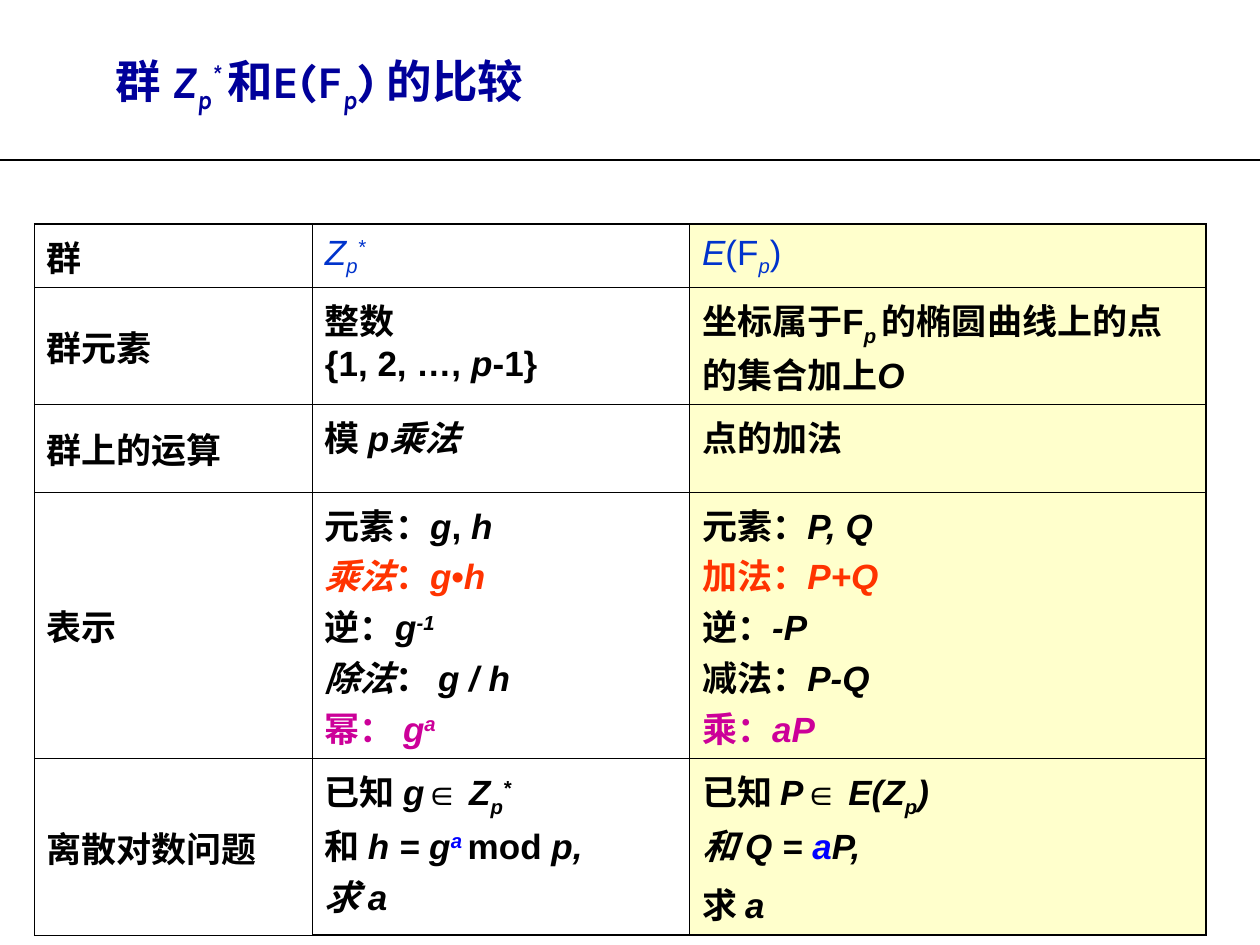
from lxml.etree import SubElement
from pptx import Presentation
from pptx.dml.color import RGBColor
from pptx.enum.text import MSO_ANCHOR, PP_ALIGN
from pptx.oxml.ns import qn
from pptx.util import Pt

COLORS = {"black": "000000", "navy": "00009A", "blue": "0033CC", "orange": "FF3300",
          "magenta": "CC0099", "bright": "0000FF", "cream": "FFFFCC"}
BASELINES = {"sub": "-25000", "sup": "30000"}


def write(paragraph, runs, font, size, color, bold):
    paragraph.font.name = font
    paragraph.font.size = Pt(size)
    paragraph.font.bold = bold
    paragraph.font.color.rgb = RGBColor.from_string(COLORS[color])
    for text, *styles in runs:
        for index, line in enumerate(text.split("\n")):
            if index:
                paragraph.add_line_break()
            if not line:
                continue
            run = paragraph.add_run()
            run.text = line
            for style in styles:
                if style == "i":
                    run.font.italic = True
                elif style in BASELINES:
                    run.font._element.set("baseline", BASELINES[style])
                else:
                    run.font.color.rgb = RGBColor.from_string(COLORS[style])


def add_border(cell, side, width):
    border = SubElement(cell._tc.get_or_add_tcPr(), qn(f"a:ln{side}"), w=str(Pt(width)))
    fill = SubElement(border, qn("a:solidFill"))
    SubElement(fill, qn("a:srgbClr"), val=COLORS["black"])


prs = Presentation()
prs.slide_width, prs.slide_height = Pt(720), Pt(540)
slide = prs.slides.add_slide(prs.slide_layouts[5])

divider = slide.shapes.add_connector(1, Pt(720), Pt(91.5), Pt(0), Pt(91.5))
divider.line.color.rgb = RGBColor.from_string(COLORS["black"])
divider.line.width = Pt(1.5)
SubElement(divider._element.spPr, qn("a:effectLst"))

title = slide.shapes.title
title.left, title.top, title.width, title.height = Pt(48), Pt(24), Pt(672), Pt(48)
heading = title.text_frame
heading.margin_left = heading.margin_right = Pt(18)
heading.margin_top = heading.margin_bottom = Pt(7.2)
heading.vertical_anchor = MSO_ANCHOR.MIDDLE
heading.paragraphs[0].alignment = PP_ALIGN.LEFT
write(heading.paragraphs[0],
      [("群 ",), ("Z", "i"), ("p", "i", "sub"), ("* ", "i", "sup"), ("和E(F",),
       ("p", "i", "sub"), (") 的比较",)],
      "Karla", 26, "navy", True)

comparison = [
    [[[("群",)]],
     [[("Z", "i"), ("p", "i", "sub"), ("*", "i", "sup")]],
     [[("E", "i"), ("(F",), ("p", "i", "sub"), (")",)]]],
    [[[("群元素",)]],
     [[("整数\n{1, 2, …, ",), ("p", "i"), ("-1}",)]],
     [[("坐标属于F",), ("p ", "i", "sub"), ("的椭圆曲线上的点的集合加上",), ("O", "i")]]],
    [[[("群上的运算",)]],
     [[("模 ",), ("p乘法", "i")]],
     [[("点的加法",)]]],
    [[[("表示",)]],
     [[("元素：",), ("g", "i"), (", ",), ("h\n", "i"),
       ("乘法", "i", "orange"), ("：", "orange"), ("g", "i", "orange"),
       ("•", "orange"), ("h\n", "i", "orange"),
       ("逆：",), ("g", "i"), ("-1\n", "i", "sup"),
       ("除法", "i"), ("： ",), ("g / h \n", "i"),
       ("幂： ", "magenta"), ("g", "i", "magenta"), ("a", "i", "sup", "magenta")]],
     [[("元素：",), ("P, Q\n", "i"),
       ("加法：", "orange"), ("P+Q\n", "i", "orange"),
       ("逆：",), ("-P\n", "i"), ("减法：",), ("P-Q\n", "i"),
       ("乘：", "magenta"), ("aP", "i", "magenta")]]],
    [[[("离散对数问题",)]],
     [[("已知 ",), ("g∈ Z", "i"), ("p", "i", "sub"), ("*\n", "i", "sup"),
       ("和 ",), ("h = g", "i"), ("a ", "i", "sup", "bright"), ("mod",),
       (" p,\n求 a", "i")]],
     [[("已知 ",), ("P∈ E(Z", "i"), ("p", "i", "sub"), (")\n和 Q = ", "i"),
       ("a", "i", "bright"), ("P,", "i")],
      [("求 ",), ("a", "i")]]],
]
column_widths = [159, 215.5, 295]
row_heights = [35.5, 59, 50, 127.5, 88]

table = slide.shapes.add_table(len(row_heights), len(column_widths), Pt(19.5), Pt(128),
                               Pt(sum(column_widths)), Pt(sum(row_heights))).table
table.first_row = table.horz_banding = False
for column, width in zip(table.columns, column_widths):
    column.width = Pt(width)
for row, height in zip(table.rows, row_heights):
    row.height = Pt(height)

thin, thick = 0.45, 1.08
last_row, last_column = len(row_heights) - 1, len(column_widths) - 1
for r, row in enumerate(comparison):
    for c, paragraphs in enumerate(row):
        cell = table.cell(r, c)
        is_label, is_group = c == 0, r == 0 and c > 0
        add_border(cell, "L", thin)
        add_border(cell, "R", thick if c == last_column else thin)
        add_border(cell, "T", thick if r == 0 or (r == 1 and not is_label) else thin)
        add_border(cell, "B", thick if r in (0, last_row) and not is_label else thin)
        if c == last_column:
            cell.fill.solid()
            cell.fill.fore_color.rgb = RGBColor.from_string(COLORS["cream"])
        else:
            cell.fill.background()
        cell.vertical_anchor = MSO_ANCHOR.MIDDLE if is_label or r == 0 else MSO_ANCHOR.TOP
        for index, runs in enumerate(paragraphs):
            paragraph = cell.text_frame.paragraphs[0]
            if index:
                paragraph = cell.text_frame.add_paragraph()
                paragraph.space_before = Pt(5)
            write(paragraph, runs, "Arial", 20, "blue" if is_group else "black", not is_group)

prs.save("out.pptx")
